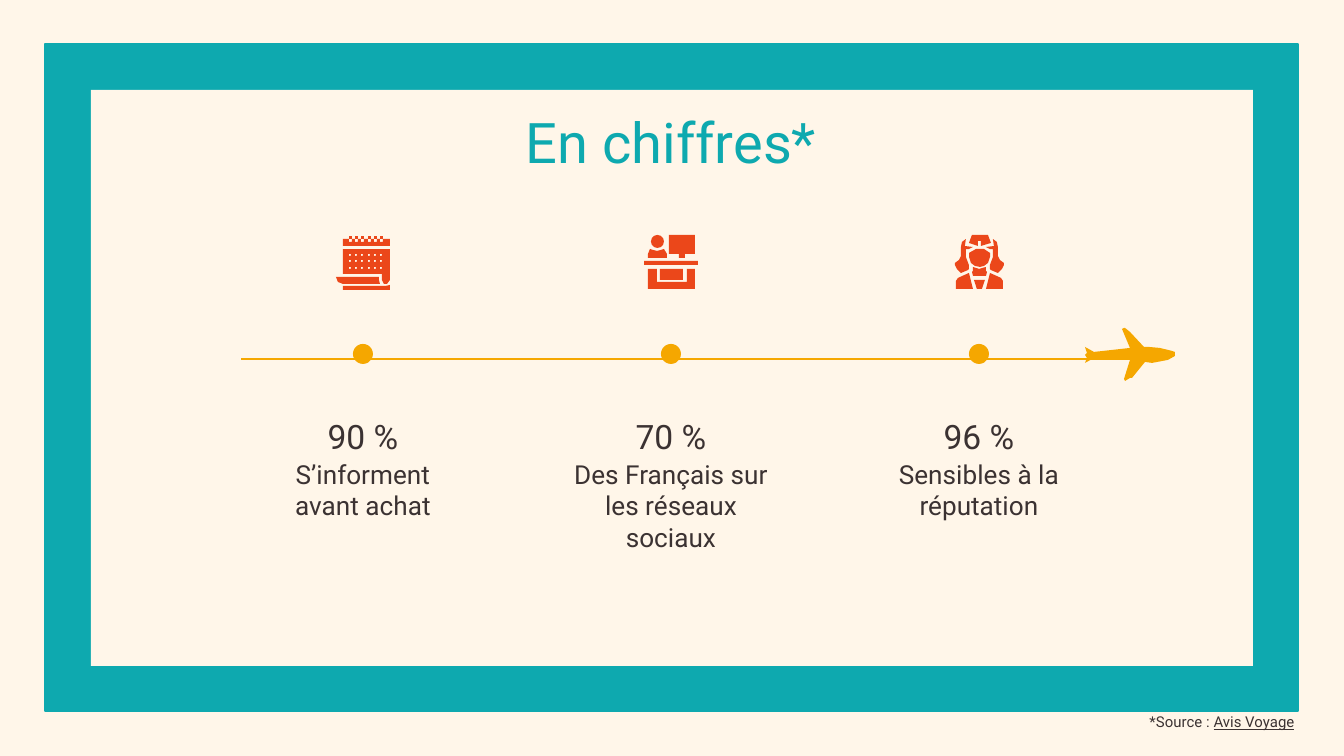
from lxml import etree
from pptx import Presentation
from pptx import util as u
from pptx.dml.color import RGBColor
from pptx.enum import shapes, text
from pptx.oxml import ns

SCALE = 914400 / 134.4
TEAL = RGBColor(0x0E, 0xA9, 0xAF)
CREAM = RGBColor(0xFF, 0xF6, 0xE9)
AMBER = RGBColor(0xF5, 0xA7, 0x00)
ORANGE = RGBColor(0xEB, 0x47, 0x1A)
INK = RGBColor(0x3B, 0x32, 0x32)
FONT = "Roboto"
RECT = shapes.MSO_SHAPE.RECTANGLE
OVAL = shapes.MSO_SHAPE.OVAL


def px(*lengths):
    return [u.Emu(round(n * SCALE)) for n in lengths]


def outline(parent, color, *contours):
    fb = parent.build_freeform(*contours[0][0], scale=SCALE)
    fb.add_line_segments(contours[0][1:])
    for contour in contours[1:]:
        fb.move_to(*contour[0])
        fb.add_line_segments(contour[1:])
    sp = fb.convert_to_shape()
    sp.shadow.inherit = False
    sp.fill.solid()
    sp.fill.fore_color.rgb = color
    sp.line.fill.background()


prs = Presentation()
prs.slide_width, prs.slide_height = px(1344, 756)
s = prs.slides.add_slide(prs.slide_layouts[5])
s.background.fill.solid()
s.background.fill.fore_color.rgb = CREAM

title = s.shapes.title
title.left, title.top, title.width, title.height = px(161, 94, 1020, 75)
tf = title.text_frame
tf.text = "En chiffres*"
tf.vertical_anchor = text.MSO_ANCHOR.TOP
tf.margin_left = tf.margin_right = tf.margin_top = tf.margin_bottom = u.Inches(0.1)
p = tf.paragraphs[0]
p.alignment = text.PP_ALIGN.CENTER
r = p.runs[0]
r.font.name, r.font.size, r.font.color.rgb = FONT, u.Pt(30), TEAL

plane = [
    (1124, 328), (1122, 329), (1130, 348), (1094, 352), (1085, 347), (1087, 353),
    (1085, 355), (1087, 358), (1085, 363), (1094, 358), (1130, 360), (1124, 379),
    (1125, 381), (1130, 378), (1132, 378), (1145, 362), (1152, 363), (1168, 360),
    (1175, 356), (1175, 352), (1172, 351), (1160, 348), (1149, 347), (1144, 347),
    (1130, 332), (1125, 328),
]
outline(s.shapes, AMBER, plane)

route = s.shapes.add_connector(shapes.MSO_CONNECTOR.STRAIGHT, *px(1149, 359, 241, 359))
route.line.color.rgb = AMBER
route.line.width = u.Pt(0.75)
etree.SubElement(route._element.spPr, ns.qn("a:effectLst"))

calendar = s.shapes.add_group_shape().shapes
desk = s.shapes.add_group_shape().shapes
hostess = s.shapes.add_group_shape().shapes

header = [(390, 239), (390, 246), (343, 246), (343, 239)]
page = [(343, 249), (343, 274), (382, 274), (382, 280), (384, 284), (387, 284),
        (390, 280), (390, 249)]
holes = []
for i in range(6):
    x = 349 + i * 19 // 3
    outline(calendar, ORANGE, [(x, 236), (x, 239), (x + 3, 239), (x + 3, 236)])
    header += [(x, 239), (x, 242), (x + 3, 242), (x + 3, 239)]
    for y in (254, 260, 267):
        holes.append([(x, y), (x + 2, y), (x + 2, y + 2), (x, y + 2)])
outline(calendar, ORANGE, header)
outline(calendar, ORANGE, page, *holes)
outline(calendar, ORANGE, [(390, 285), (386, 286), (343, 286), (343, 290), (390, 290)])
outline(calendar, ORANGE, [(336, 277), (338, 282), (343, 284), (380, 284), (379, 280), (379, 277)])

counter = [(648, 269), (648, 289), (695, 289), (695, 269), (687, 269), (687, 282),
           (657, 282), (657, 269)]
monitor = [(669, 235), (669, 254), (679, 254), (679, 258), (685, 258), (685, 254),
           (695, 254), (695, 235)]
shoulders = [(650, 249), (648, 254), (648, 258), (667, 258), (667, 254), (664, 249),
             (661, 250), (657, 251), (653, 250)]
for part in (counter, monitor, shoulders):
    outline(desk, ORANGE, part)

jacket = [(969, 273), (958, 278), (956, 281), (956, 289), (973, 289)]
hair = [(966, 239), (962, 242), (961, 247), (961, 256), (959, 260), (955, 263),
        (955, 265), (957, 269), (961, 273), (968, 270), (969, 269), (969, 265),
        (966, 257), (966, 249), (969, 249), (973, 247), (965, 246)]
scarf = [(974, 280), (977, 289), (982, 289), (985, 280)]
collar = [(973, 267), (973, 271), (972, 272), (973, 276), (986, 276), (987, 272),
          (986, 271), (986, 267), (979, 269)]
face = [(984, 249), (976, 249), (969, 253), (969, 257), (971, 263), (975, 266),
        (980, 267), (984, 266), (988, 263), (990, 257), (990, 253)]
cap = [(972, 235), (969, 243), (978, 246), (978, 241), (981, 241), (981, 246),
       (991, 243), (988, 235)]
for part in (jacket, hair):
    outline(hostess, ORANGE, part)
    outline(hostess, ORANGE, [(1959 - x, y) for x, y in part])
for part in (scarf, collar, face, cap):
    outline(hostess, ORANGE, part)

figures = [
    ("90 %", "S’informent avant achat"),
    ("70 %", "Des Français sur les réseaux sociaux"),
    ("96 %", "Sensibles à la réputation"),
]
plain = [
    (desk, RECT, (644, 261, 54, 4), ORANGE),
    (desk, RECT, (660, 269, 23, 11), ORANGE),
    (desk, OVAL, (651, 235, 13, 13), ORANGE),
]
labels = []
for i, (share, caption) in enumerate(figures):
    x = 363 + 308 * i
    plain.append((s.shapes, OVAL, (x - 10, 344, 20, 20), AMBER))
    labels.append(((x - 139, 396, 278, 65), [share], 18, 1.15))
    labels.append(((x - 110, 445, 220, 136), [caption], 14, 1))
labels.append(((1118, 704, 208, 34), ["*Source : ", "Avis Voyage"], 8, 1))

frame = [
    (s.shapes, RECT, (45, 44, 1253, 667), TEAL),
    (s.shapes, RECT, (91, 90, 1162, 576), CREAM),
]
for i, (parent, kind, box, color) in enumerate(frame + plain):
    sp = parent.add_shape(kind, *px(*box))
    sp.shadow.inherit = False
    sp.fill.solid()
    sp.fill.fore_color.rgb = color
    sp.line.fill.background()
    if i < len(frame):
        s.shapes._spTree.insert(2 + i, sp._element)
    if color == TEAL:
        sp.line.color.rgb = TEAL
        sp.line.width = u.Pt(0.75)

for box, parts, size, spacing in labels:
    tf = s.shapes.add_textbox(*px(*box)).text_frame
    tf.word_wrap = True
    tf.margin_left = tf.margin_right = tf.margin_top = tf.margin_bottom = u.Inches(0.1)
    p = tf.paragraphs[0]
    p.alignment = text.PP_ALIGN.CENTER
    p.line_spacing = spacing
    p.space_after = u.Pt(16)
    for part in parts:
        r = p.add_run()
        r.text = part
        r.font.name, r.font.size, r.font.color.rgb = FONT, u.Pt(size), INK
r.font.underline = True

prs.save("out.pptx")
